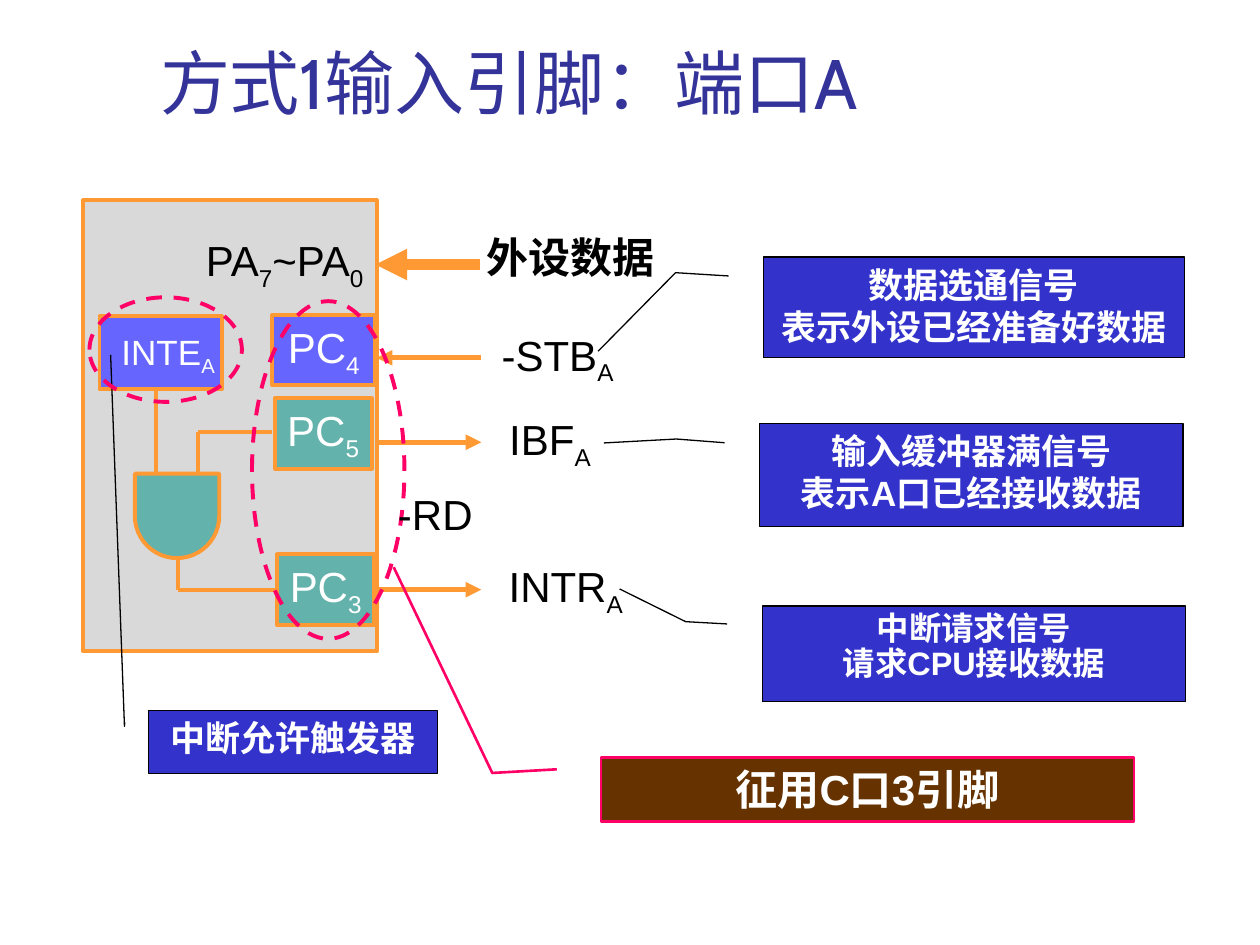
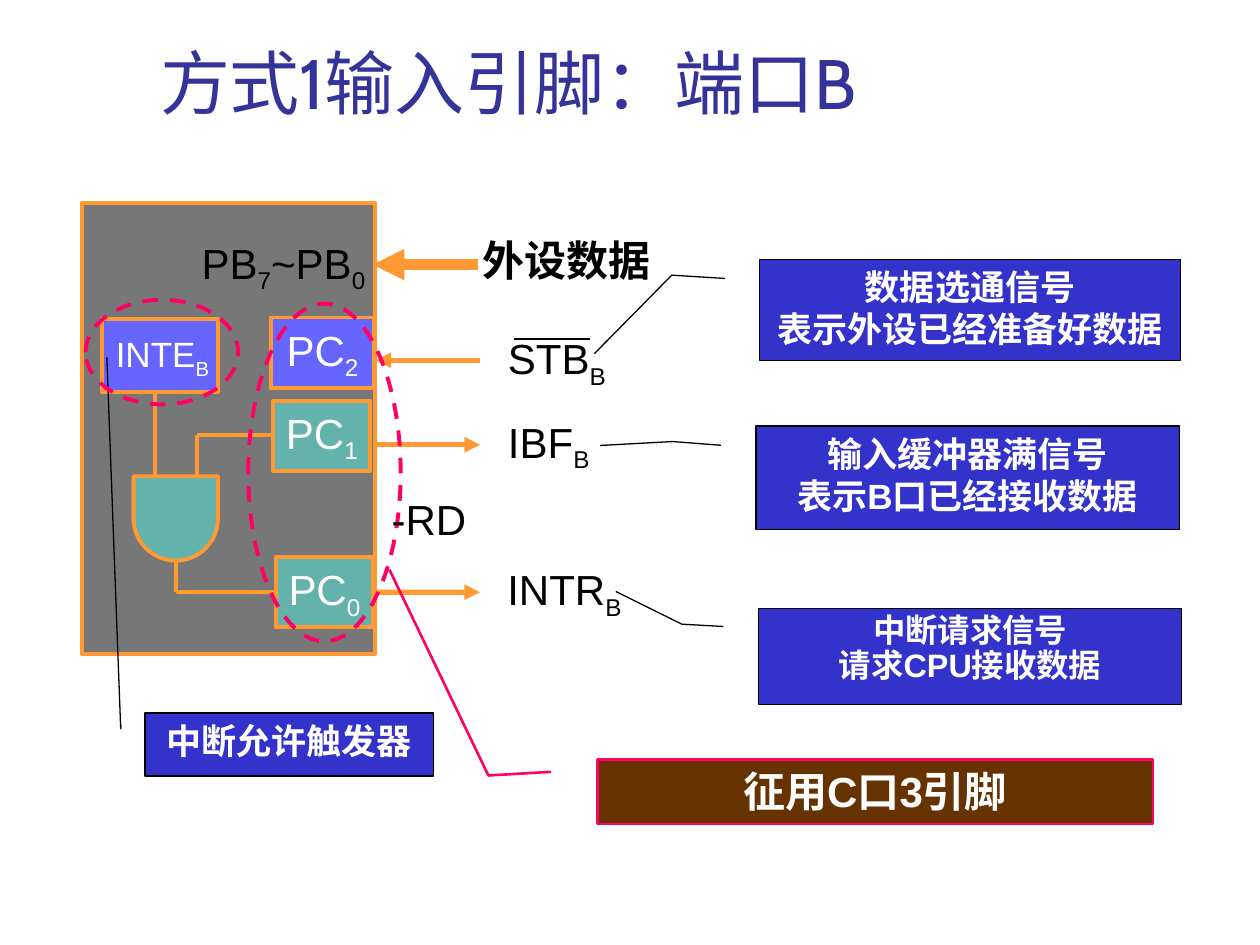
import pptx
import pptx.dml.color
import pptx.enum.dml
import pptx.enum.shapes
import pptx.enum.text
import pptx.oxml.ns
import pptx.util
import lxml.etree

Inches = pptx.util.Inches
SHAPE = pptx.enum.shapes.MSO_SHAPE
ALIGN = pptx.enum.text.PP_ALIGN
ANCHOR = pptx.enum.text.MSO_ANCHOR

ORANGE, PINK, BLACK, WHITE = "FF9933", "FF0066", "000000", "FFFFFF"
VIOLET, TEAL, NAVY, BROWN, TITLE_COLOUR = "6666FF", "63B2AC", "3333CC", "663300", "333399"

# Shifts move the circuit, the notes and the data arrow as groups.
PORTS = [
    {"port": "A", "pins": "453", "panel": "D9D9D9", "title_width": 6.87,
     "circuit_shift": (0, 0), "note_shift": (0, 0), "arrow_shift": (0, 0),
     "inte_box": (0.79, 2.51, 0.97, 0.58), "inte_label": (0.82, 2.57, 1.03, 0.48),
     "strobe": "-STB", "strobe_label": (3.88, 2.56, 1.09, 0.56),
     "read_label": (3.06, 3.83, 0.79, 0.5),
     "summary_width": 4.23, "summary_leader": (0.188, -0.083, 0.245, -0.204, -2.959, -0.389),
     "overline": None},
    {"port": "B", "pins": "210", "panel": "777777", "title_width": 6.63,
     "circuit_shift": (-0.01, 0.02), "note_shift": (-0.03, 0.02), "arrow_shift": (-0.02, 0),
     "inte_box": (0.81, 2.53, 0.92, 0.58), "inte_label": (0.82, 2.59, 0.94, 0.48),
     "strobe": "STB", "strobe_label": (3.93, 2.59, 0.98, 0.56),
     "read_label": (3.01, 3.87, 0.79, 0.5),
     "summary_width": 4.41, "summary_leader": (0.188, -0.083, 0.245, -0.196, -2.959, -0.374),
     "overline": ((4.08, 2.69), (4.68, 2.69))},
]

PIN_BOXES = [
    ((2.16, 2.5, 0.82, 0.56), VIOLET),
    ((2.18, 3.16, 0.77, 0.56), TEAL),
    ((2.2, 4.4, 0.77, 0.56), TEAL),
]
GATE_BOX = (1.07, 3.76, 0.67, 0.67)
GATE_WIRES = [
    ((1.41, 4.43), (1.41, 4.68)),
    ((1.24, 3.09), (1.24, 3.76)),
    ((1.57, 3.43), (2.16, 3.43)),
    ((1.57, 3.43), (1.57, 3.76)),
]
GATE_OUTPUT = ((1.41, 4.68), (2.2, 4.68))
REQUEST_ARROW = ((2.97, 4.68), (3.82, 4.68))
SIGNAL_ARROWS = [
    ((2.99, 3.51), (3.82, 3.51)),
    ((3.82, 2.84), (2.99, 2.84)),
]
DATA_ARROW = ((3.81, 2.1), (2.98, 2.1))
SIGNAL_LABELS = [("IBF", (3.94, 3.23, 0.85, 0.56)), ("INTR", (3.84, 4.4, 1.3, 0.56))]
DATA_LABEL = (3.76, 1.79, 1.53, 0.5)

# Lines of text, box, leader adjustments, size, line spacing
NOTES = [
    (["中断允许触发器"], (1.18, 5.64, 2.29, 0.5),
     (0.188, -0.083, 0.25, -0.084, -5.646, -0.132), 20, 1),
    (["输入缓冲器满信号", "表示{port}口已经接收数据"], (6.03, 3.36, 3.36, 0.82),
     (0.188, -0.083, 0.152, -0.197, 0.19, -0.368), 20, 1),
    (["数据选通信号", "表示外设已经准备好数据"], (6.06, 2.04, 3.34, 0.8),
     (0.188, -0.083, 0.156, -0.209, 0.935, -0.393), 20, 1),
    (["中断请求信号", "请求CPU接收数据"], (6.05, 4.81, 3.36, 0.76),
     (0.188, -0.083, 0.164, -0.181, -0.178, -0.337), 18.5, 0.9),
]
RINGS = [(2, 2.39, 1.21, 2.68), (0.71, 2.36, 1.21, 0.83)]


def colour(hex_string):
    return pptx.dml.color.RGBColor.from_string(hex_string)


def shifted(place, shift):
    """Move a point or a box; a box keeps its size."""
    return (place[0] + shift[0], place[1] + shift[1], *place[2:])


def format_run(run, size, text_colour, bold=False, font_name="Arial"):
    run.font.name = font_name
    run.font.size = pptx.util.Pt(size)
    run.font.bold = bold
    run.font.color.rgb = colour(text_colour)


def write_label(shape, pieces, size, text_colour, bold=False):
    """Write one centred line; every second piece is a subscript."""
    frame = shape.text_frame
    frame.word_wrap = False
    frame.vertical_anchor = ANCHOR.MIDDLE
    paragraph = frame.paragraphs[0]
    paragraph.alignment = ALIGN.CENTER
    for index, piece in enumerate(pieces):
        run = paragraph.add_run()
        run.text = piece
        format_run(run, size, text_colour, bold)
        if index % 2:
            run._r.get_or_add_rPr().set("baseline", "-25000")


def add_label(slide, box, pieces, size=24, text_colour=BLACK, bold=False):
    label = slide.shapes.add_textbox(*map(Inches, box))
    write_label(label, pieces, size, text_colour, bold)


def add_figure(slide, preset, box, fill=None, line=ORANGE, width=2.25):
    shape = slide.shapes.add_shape(preset, *map(Inches, box))
    shape.shadow.inherit = False
    if fill:
        shape.fill.solid()
        shape.fill.fore_color.rgb = colour(fill)
    else:
        shape.fill.background()
    shape.line.color.rgb = colour(line)
    shape.line.width = pptx.util.Pt(width)
    return shape


def add_line(slide, ends, shift=(0, 0), line=ORANGE, width=2.25, arrow=False):
    start, end = (shifted(point, shift) for point in ends)
    connector = slide.shapes.add_connector(
        pptx.enum.shapes.MSO_CONNECTOR.STRAIGHT, *map(Inches, (*start, *end)))
    connector.line.color.rgb = colour(line)
    connector.line.width = pptx.util.Pt(width)
    if arrow:
        tail = lxml.etree.SubElement(
            connector.line._get_or_add_ln(), pptx.oxml.ns.qn("a:tailEnd"))
        tail.set("type", "triangle")
    lxml.etree.SubElement(connector._element.spPr, pptx.oxml.ns.qn("a:effectLst"))
    return connector


def add_note(slide, lines, box, leader, size, spacing=1,
             fill=NAVY, line=BLACK, width=0.75):
    note = add_figure(slide, SHAPE.LINE_CALLOUT_2, box, fill, line, width)
    for index, value in enumerate(leader):
        note.adjustments[index] = value
    frame = note.text_frame
    frame.word_wrap = True
    frame.vertical_anchor = ANCHOR.TOP
    frame.text = "\n".join(lines)
    for paragraph in frame.paragraphs:
        paragraph.alignment = ALIGN.CENTER
        paragraph.line_spacing = spacing
        format_run(paragraph.runs[0], size, WHITE, bold=True)


def add_title(slide, text, width):
    title = slide.shapes.title
    title.left, title.top, title.width, title.height = map(Inches, (1.17, 0.11, width, 0.92))
    frame = title.text_frame
    frame.text = text
    frame.auto_size = pptx.enum.text.MSO_AUTO_SIZE.NONE
    frame.vertical_anchor = ANCHOR.BOTTOM
    paragraph = frame.paragraphs[0]
    paragraph.alignment = ALIGN.LEFT
    format_run(paragraph.runs[0], 40, TITLE_COLOUR, font_name="Cabin")


def add_circuit(slide, details):
    port, shift = details["port"], details["circuit_shift"]
    add_figure(slide, SHAPE.RECTANGLE, shifted((0.66, 1.59, 2.33, 3.58), shift),
               details["panel"])
    add_figure(slide, SHAPE.RECTANGLE, details["inte_box"], VIOLET)
    for number, (box, fill) in zip(details["pins"], PIN_BOXES):
        pin = add_figure(slide, SHAPE.RECTANGLE, shifted(box, shift), fill)
        write_label(pin, ["PC", number], 24, WHITE)
    request_pin = pin
    add_label(slide, shifted((1.51, 1.81, 1.5, 0.56), shift),
              ["P" + port, "7", "~P" + port, "0"])
    gate = add_figure(slide, SHAPE.FLOWCHART_DELAY, shifted(GATE_BOX, shift), TEAL)
    gate.rotation = 90
    for wire in GATE_WIRES:
        add_line(slide, wire, shift)
    add_line(slide, GATE_OUTPUT, shift).end_connect(request_pin, 1)
    add_label(slide, details["inte_label"], ["INTE", port], 20, WHITE)
    add_line(slide, REQUEST_ARROW, shift, width=3, arrow=True).begin_connect(request_pin, 3)
    for arrow in SIGNAL_ARROWS:
        add_line(slide, arrow, shift, width=3, arrow=True)
    for name, box in SIGNAL_LABELS:
        add_label(slide, shifted(box, shift), [name, port])
    add_label(slide, details["strobe_label"], [details["strobe"], port])
    add_line(slide, DATA_ARROW, details["arrow_shift"], width=6, arrow=True)


def add_notes(slide, details):
    shift = details["note_shift"]
    for lines, box, leader, size, spacing in NOTES:
        texts = [line.format(port=details["port"]) for line in lines]
        add_note(slide, texts, shifted(box, shift), leader, size, spacing)
    add_label(slide, shifted(DATA_LABEL, shift), ["外设数据"], bold=True)
    for box in RINGS:
        ring = add_figure(slide, SHAPE.OVAL, shifted(box, shift), line=PINK)
        ring.line.dash_style = pptx.enum.dml.MSO_LINE.DASH
    summary_box = shifted((4.77, 6.01, details["summary_width"], 0.51), shift)
    add_note(slide, ["征用C口3引脚"], summary_box, details["summary_leader"], 24,
             fill=BROWN, line=PINK, width=1.5)
    add_label(slide, details["read_label"], ["-RD"])
    if details["overline"]:
        add_line(slide, details["overline"], line=BLACK, width=0.75)


def main():
    presentation = pptx.Presentation()
    presentation.slide_width = Inches(10)
    presentation.slide_height = Inches(7.5)
    for details in PORTS:
        slide = presentation.slides.add_slide(presentation.slide_layouts[5])
        add_title(slide, "方式1输入引脚：端口" + details["port"], details["title_width"])
        add_circuit(slide, details)
        add_notes(slide, details)
    presentation.save("out.pptx")


if __name__ == "__main__":
    main()
